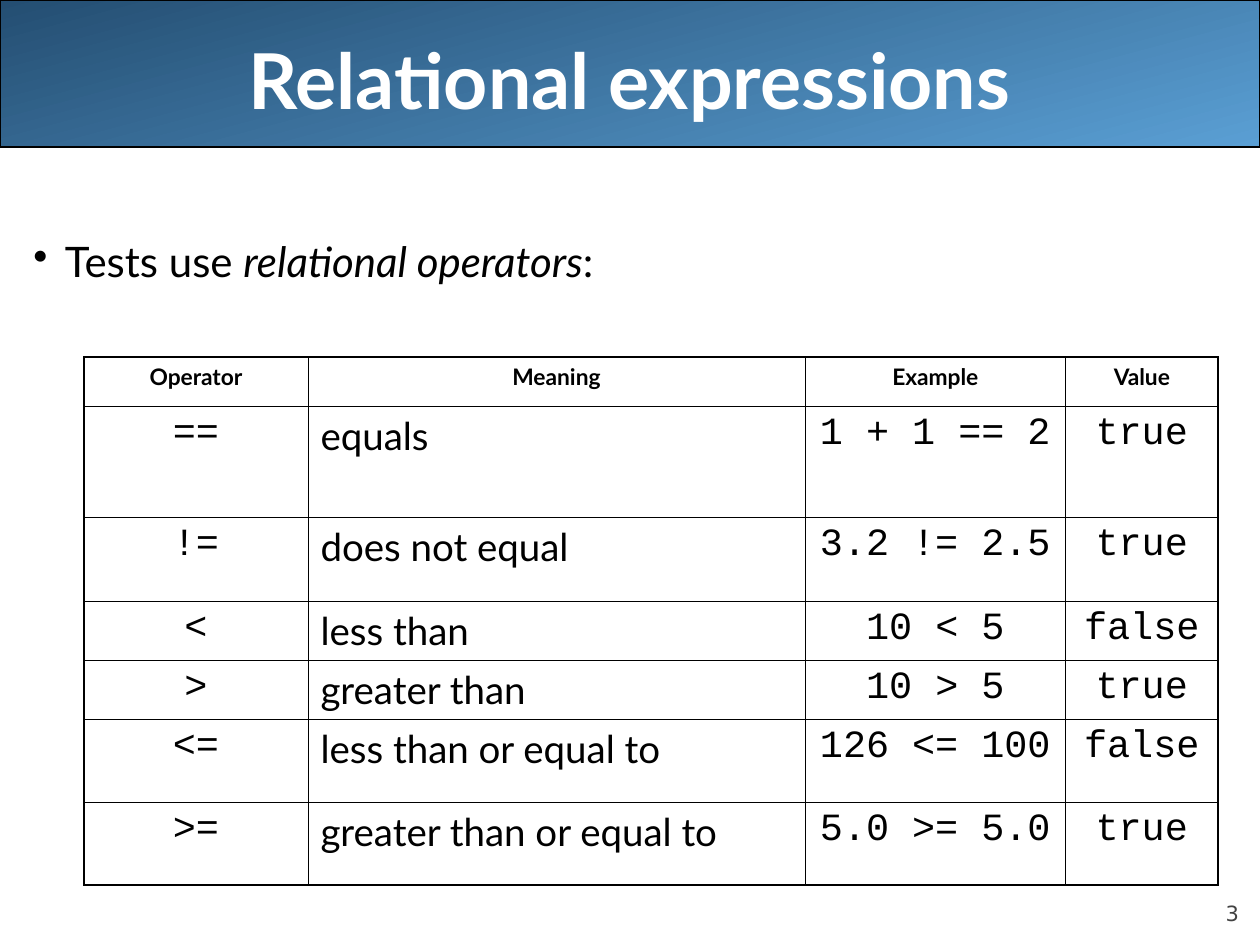
from lxml.etree import SubElement
from pptx import Presentation
from pptx.dml.color import RGBColor
from pptx.enum.shapes import MSO_SHAPE
from pptx.enum.text import MSO_ANCHOR, PP_ALIGN
from pptx.oxml.ns import qn
from pptx.util import Pt

BLACK = RGBColor(0x00, 0x00, 0x00)
WHITE = RGBColor(0xFF, 0xFF, 0xFF)
GREY = RGBColor(0x42, 0x42, 0x42)
DARK_BLUE = RGBColor(0x24, 0x4E, 0x72)
LIGHT_BLUE = RGBColor(0x5A, 0x9F, 0xD4)
SANS = "Lato"
CODE = "Courier New"
OUTER, INNER = 1.08, 0.45

COLUMN_WIDTHS = [128, 284, 149, 87]
ROW_HEIGHTS = [28, 63.4, 48.2, 31.7, 31.7, 47.5, 47.5]
ROWS = [
    ("Operator", "Meaning", "Example", "Value"),
    ("==", "equals", "1 + 1 == 2", "true"),
    ("!=", "does not equal", "3.2 != 2.5", "true"),
    ("<", "less than", "10 < 5", "false"),
    (">", "greater than", "10 > 5", "true"),
    ("<=", "less than or equal to", "126 <= 100", "false"),
    (">=", "greater than or equal to", "5.0 >= 5.0", "true"),
]


def add_span(para, text, font=SANS, size=24, color=BLACK, bold=False, italic=False):
    """Add one formatted stretch of text to a paragraph."""
    span = para.add_run()
    span.text = text
    span.font.name = font
    span.font.size = Pt(size)
    span.font.color.rgb = color
    span.font.bold = bold
    span.font.italic = italic


def add_box(page, left, top, width, height, anchor=MSO_ANCHOR.TOP, align=PP_ALIGN.LEFT):
    """Add a wrapping text box and return its frame and first paragraph."""
    box = page.shapes.add_textbox(Pt(left), Pt(top), Pt(width), Pt(height))
    frame = box.text_frame
    frame.word_wrap = True
    frame.vertical_anchor = anchor
    para = frame.paragraphs[0]
    para.alignment = align
    return frame, para


def add_banner(page):
    """Draw the gradient band behind the title."""
    banner = page.shapes.add_shape(MSO_SHAPE.ROUNDED_RECTANGLE, 0, 0, Pt(720), Pt(84))
    banner.adjustments[0] = 0
    banner.shadow.inherit = False
    banner.fill.gradient()
    banner.fill.gradient_angle = 285
    for stop, color in zip(banner.fill.gradient_stops, (DARK_BLUE, LIGHT_BLUE)):
        stop.color.rgb = color
    banner.line.color.rgb = BLACK
    banner.line.width = Pt(0.75)


def add_title(page, text):
    """Add the centred slide title."""
    _, para = add_box(page, 36, 0, 648, 90, MSO_ANCHOR.MIDDLE, PP_ALIGN.CENTER)
    add_span(para, text, size=44, color=WHITE, bold=True)


def add_page_number(page, number):
    """Add the slide number at the lower right."""
    frame, para = add_box(page, 648, 500.4, 60, 28.8, MSO_ANCHOR.BOTTOM, PP_ALIGN.RIGHT)
    frame.margin_left = frame.margin_top = frame.margin_right = frame.margin_bottom = 0
    add_span(para, number, font="DejaVu Sans", size=12, color=GREY)


def add_bullet(page, spans):
    """Add the bulleted line from pairs of text and italic flag."""
    frame, para = add_box(page, 12, 102, 708, 408)
    frame.margin_top = Pt(36)
    properties = para._p.get_or_add_pPr()
    properties.set("marL", str(Pt(18)))
    properties.set("indent", str(-Pt(18)))
    SubElement(properties, qn("a:buChar"), char="•")
    para.line_spacing = 0.9
    for text, italic in spans:
        add_span(para, text, italic=italic)


def set_borders(cell, widths):
    """Draw the left, right, top and bottom borders of a cell."""
    properties = cell._tc.get_or_add_tcPr()
    for side, width in zip("LRTB", widths):
        line = SubElement(properties, qn(f"a:ln{side}"), w=str(Pt(width)))
        fill = SubElement(line, qn("a:solidFill"))
        SubElement(fill, qn("a:srgbClr"), val=str(BLACK))


def add_operator_table(page):
    """Add the table of relational operators."""
    frame = page.shapes.add_table(
        len(ROWS), len(COLUMN_WIDTHS), Pt(48), Pt(204),
        Pt(sum(COLUMN_WIDTHS)), Pt(sum(ROW_HEIGHTS)),
    )
    table = frame.table
    table.first_row = table.horz_banding = False
    for column, width in zip(table.columns, COLUMN_WIDTHS):
        column.width = Pt(width)
    last_row, last_column = len(ROWS) - 1, len(COLUMN_WIDTHS) - 1
    for i, (texts, height) in enumerate(zip(ROWS, ROW_HEIGHTS)):
        table.rows[i].height = Pt(height)
        for j, text in enumerate(texts):
            cell = table.cell(i, j)
            edges = (j == 0, j == last_column, i == 0, i == last_row)
            set_borders(cell, [OUTER if edge else INNER for edge in edges])
            cell.fill.background()
            header, meaning = i == 0, j == 1
            para = cell.text_frame.paragraphs[0]
            para.alignment = PP_ALIGN.LEFT if meaning and not header else PP_ALIGN.CENTER
            add_span(para, text, font=SANS if header or meaning else CODE,
                     size=13 if header else 22, bold=header)


def main():
    """Build the slide and save it."""
    deck = Presentation()
    deck.slide_width, deck.slide_height = Pt(720), Pt(540)
    page = deck.slides.add_slide(deck.slide_layouts[6])
    add_banner(page)
    add_page_number(page, "3")
    add_title(page, "Relational expressions")
    add_bullet(page, [("Tests use ", False), ("relational operators", True), (":", False)])
    add_operator_table(page)
    deck.save("out.pptx")


if __name__ == "__main__":
    main()
